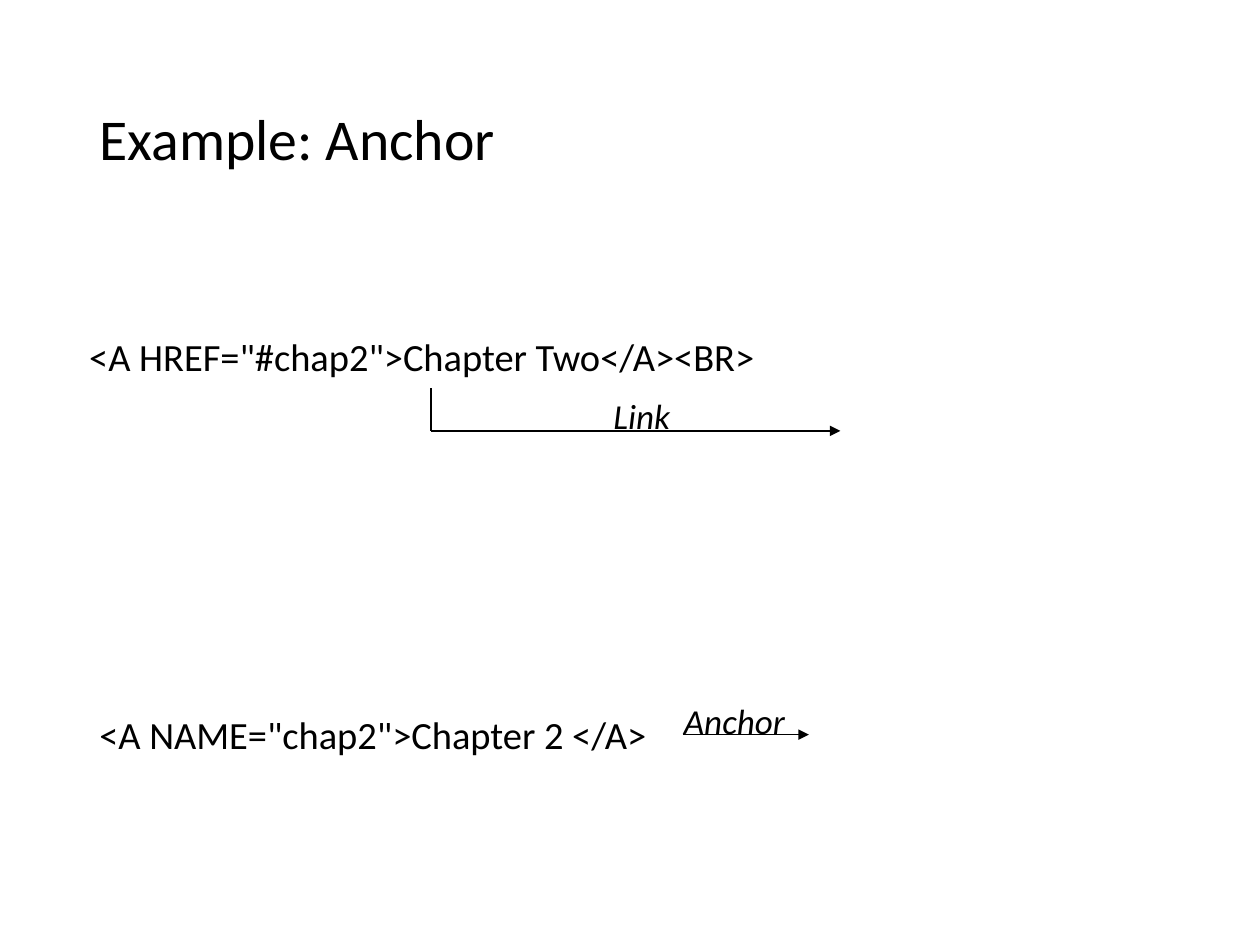
from dataclasses import dataclass

from lxml import etree
from pptx import Presentation
from pptx import util as u
from pptx.dml.color import RGBColor
from pptx.enum import shapes, text
from pptx.oxml import ns


@dataclass(frozen=True)
class Theme:
    font: str = "Calibri"
    ink: RGBColor = RGBColor(0, 0, 0)
    paper: RGBColor = RGBColor(255, 255, 255)
    title: float = 33
    code: float = 22
    label: float = 20
    line: float = 0.75


THEME = Theme()


def add_text(slide, words, box, size, italic=False, wrap=False):
    frame = slide.shapes.add_textbox(*map(u.Inches, box)).text_frame
    frame.word_wrap = wrap
    para = frame.paragraphs[0]
    run = para.add_run()
    run.text = words
    run.font.name = THEME.font
    run.font.size = u.Pt(size)
    run.font.italic = italic
    run.font.color.rgb = THEME.ink
    return frame


def add_title(slide, words, box):
    frame = add_text(slide, words, box, THEME.title, wrap=True)
    frame.vertical_anchor = text.MSO_ANCHOR.MIDDLE
    frame.paragraphs[0].line_spacing = 0.9


def add_code(slide, words, box):
    frame = add_text(slide, words, box, THEME.code)
    frame.auto_size = text.MSO_AUTO_SIZE.SHAPE_TO_FIT_TEXT


def add_label(slide, words, box, wrap=False):
    frame = add_text(slide, words, box, THEME.label, True, wrap)
    frame.auto_size = text.MSO_AUTO_SIZE.SHAPE_TO_FIT_TEXT


def add_line(slide, start, end, arrow=False):
    line = slide.shapes.add_connector(
        shapes.MSO_CONNECTOR.STRAIGHT, *map(u.Inches, start + end))
    line.line.color.rgb = THEME.ink
    line.line.width = u.Pt(THEME.line)
    if arrow:
        edge = line.line._get_or_add_ln()
        etree.SubElement(edge, ns.qn("a:tailEnd"), type="triangle")
    etree.SubElement(line._element.spPr, ns.qn("a:effectLst"))


def main():
    deck = Presentation()
    deck.slide_width, deck.slide_height = u.Inches(10), u.Inches(7.5)
    slide = deck.slides.add_slide(deck.slide_layouts[6])
    slide.background.fill.solid()
    slide.background.fill.fore_color.rgb = THEME.paper

    add_title(slide, "Example: Anchor", (0.69, 0.4, 8.63, 1.45))

    # Link: an elbow from the code to the right
    add_code(slide, '<A HREF="#chap2">Chapter Two</A><BR>',
             (0.61, 2.59, 5.51, 0.47))
    bend = (3.42, 3.42)
    add_line(slide, bend, (6.67, 3.42), arrow=True)
    add_line(slide, bend, (3.42, 3.08))

    # Anchor: the place the link leads to
    add_code(slide, '<A NAME="chap2">Chapter 2 </A>',
             (0.69, 5.59, 4.56, 0.47))
    add_line(slide, (5.42, 5.83), (6.42, 5.83), arrow=True)

    # Arrow labels
    add_label(slide, "Link", (4.77, 3.08, 0.65, 0.44))
    add_label(slide, "Anchor", (5.33, 5.5, 1.02, 0.44), wrap=True)

    deck.save("out.pptx")


if __name__ == "__main__":
    main()
